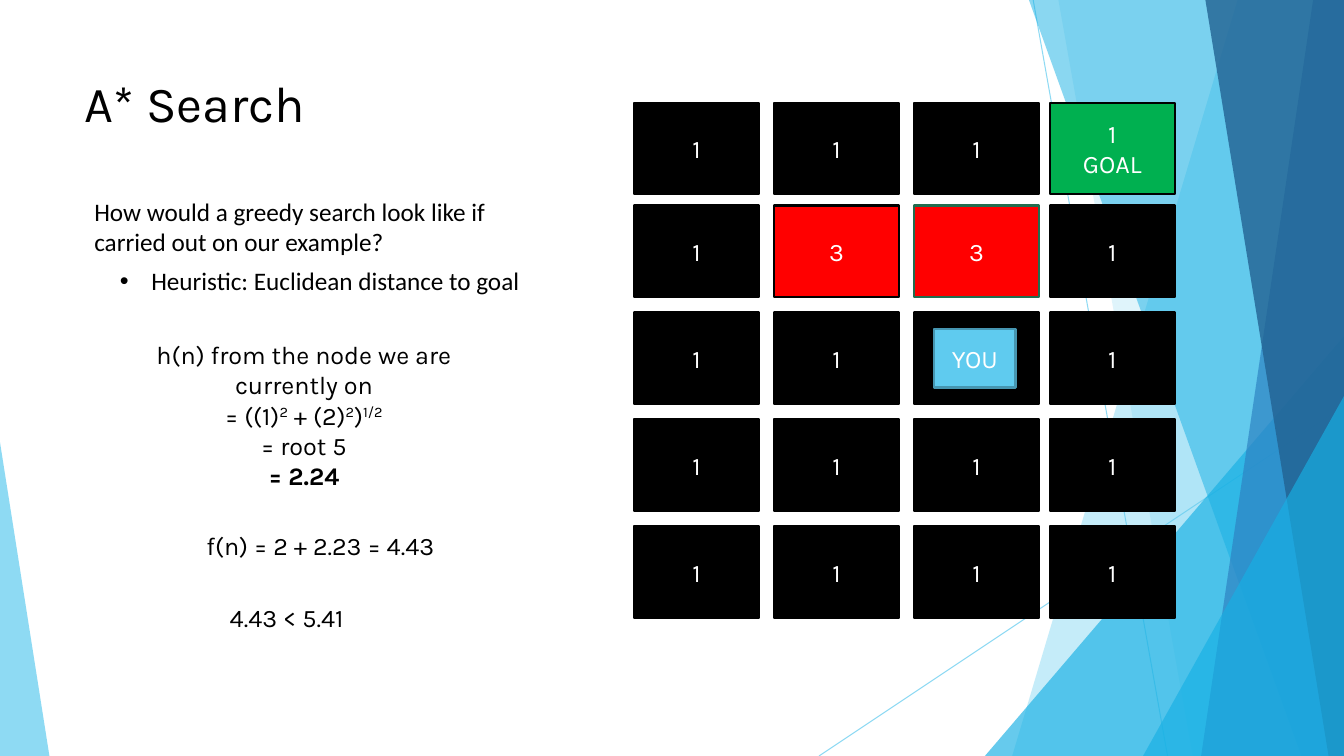
import dataclasses

import lxml.etree
import pptx
import pptx.dml.color
import pptx.enum.shapes
import pptx.enum.text
import pptx.oxml.ns
import pptx.util

Pt = pptx.util.Pt
Shape = pptx.enum.shapes.MSO_SHAPE
Align = pptx.enum.text.PP_ALIGN
Anchor = pptx.enum.text.MSO_ANCHOR
qn = pptx.oxml.ns.qn


def color(code):
    return pptx.dml.color.RGBColor.from_string(code)


@dataclasses.dataclass
class SlideBuilder:
    page: object
    font: str = "Karla"
    size: float = 18
    ink: str = "000000"
    light: str = "FFFFFF"
    sky: str = "5FCBEF"

    def fade(self, shape, opacity):
        for tint in shape._element.spPr.iter(qn("a:srgbClr")):
            lxml.etree.SubElement(tint, qn("a:alpha"), val=str(opacity * 1000))

    def paint(self, shape, fill, opacity):
        shape.shadow.inherit = False
        shape.fill.solid()
        shape.fill.fore_color.rgb = color(fill)
        shape.line.fill.background()
        self.fade(shape, opacity)

    def line(self, x1, y1, x2, y2):
        line = self.page.shapes.add_connector(
            pptx.enum.shapes.MSO_CONNECTOR.STRAIGHT, Pt(x1), Pt(y1), Pt(x2), Pt(y2))
        line.line.color.rgb = color(self.sky)
        line.line.width = Pt(0.75)
        lxml.etree.SubElement(line._element.spPr, qn("a:effectLst"))
        self.fade(line, 70)

    def polygon(self, points, fill, opacity):
        corners = [(Pt(x), Pt(y)) for x, y in points]
        outline = self.page.shapes.build_freeform(*corners[0])
        outline.add_line_segments(corners[1:], close=True)
        self.paint(outline.convert_to_shape(), fill, opacity)

    def triangle(self, left, top, width, height, apex, fill, opacity):
        shape = self.page.shapes.add_shape(
            Shape.ISOSCELES_TRIANGLE, Pt(left), Pt(top), Pt(width), Pt(height))
        shape.adjustments[0] = apex
        self.paint(shape, fill, opacity)

    def fill_text(self, frame, paragraphs, ink, align, font=None, size=None):
        frame.word_wrap = True
        for index, spans in enumerate(paragraphs):
            para = frame.paragraphs[0] if index == 0 else frame.add_paragraph()
            para.alignment = align
            for text, style in spans:
                span = para.add_run()
                span.text = text
                span.font.name = font or self.font
                span.font.size = Pt(size or self.size)
                span.font.color.rgb = color(ink)
                if style == "bold":
                    span.font.bold = True
                elif style == "super":
                    span.font._element.set("baseline", "30000")

    def tile(self, left, top, width, height, labels, fill, border):
        shape = self.page.shapes.add_shape(
            Shape.RECTANGLE, Pt(left), Pt(top), Pt(width), Pt(height))
        shape.shadow.inherit = False
        shape.fill.solid()
        shape.fill.fore_color.rgb = color(fill)
        shape.line.color.rgb = color(border)
        shape.line.width = Pt(1.5)
        shape.text_frame.vertical_anchor = Anchor.MIDDLE
        paragraphs = [[(label, None)] for label in labels]
        self.fill_text(shape.text_frame, paragraphs, self.light, Align.CENTER)

    def text(self, left, top, width, height, paragraphs, align=Align.LEFT,
             font=None, size=None, bullet=False):
        box = self.page.shapes.add_textbox(Pt(left), Pt(top), Pt(width), Pt(height))
        self.fill_text(box.text_frame, paragraphs, self.ink, align, font, size)
        if bullet:
            for para in box.text_frame.paragraphs:
                layout = para._p.get_or_add_pPr()
                layout.set("marL", str(Pt(22.5)))
                layout.set("indent", str(-Pt(22.5)))
                lxml.etree.SubElement(layout, qn("a:buFont"), typeface="Arial")
                lxml.etree.SubElement(layout, qn("a:buChar"), char="•")


def draw_backdrop(builder):
    builder.line(738, 0, 834, 540)
    builder.line(960, 290, 585, 540)
    bands = [(884, 723, "5FCBEF", 36), (756, 852, "5FCBEF", 20)]
    front_bands = [(735, 929.5, "17B0E4", 50), (938, 858, "2E83C3", 70),
                   (861, 949, "226292", 80)]

    def draw_bands(group):
        for top_x, bottom_x, fill, opacity in group:
            builder.polygon([(top_x, 0), (960, 0), (960, 540), (bottom_x, 540)],
                            fill, opacity)

    draw_bands(bands)
    builder.triangle(703.5, 240, 256.5, 300, 1, "17B0E4", 66)
    draw_bands(front_bands)
    builder.triangle(816.5, 283, 143.5, 257, 1, "17B0E4", 66)
    builder.triangle(0, 316, 35.3, 224, 0, builder.sky, 70)


def draw_grid(builder):
    columns = [452.8, 552.8, 652.8, 749.8]
    rows = [73.4, 146.8] + [223.2 + 76.4 * step for step in range(3)]
    special = {
        (0, 3): (["1", "GOAL"], "00B050", "000000"),
        (1, 1): (["3"], "FF0000", "000000"),
        (1, 2): (["3"], "FF0000", "226D4F"),
        (2, 2): ([], "000000", "000000"),
    }
    plain = (["1"], "000000", "000000")
    for row, top in enumerate(rows):
        for column, left in enumerate(columns):
            builder.tile(left, top, 89.5, 65.5, *special.get((row, column), plain))
    builder.tile(667.4, 235, 58, 41.8, ["YOU"], builder.sky, "4696B1")


def draw_texts(builder):
    builder.text(53.3, 48.2, 677, 104, [[("A* Search", None)]], size=36)
    question = "How would a greedy search look like if carried out on our example?"
    builder.text(60.3, 136.8, 314.6, 51, [[(question, None)]], font="Calibri")
    builder.text(78.5, 186, 314.6, 29, [[("Heuristic: Euclidean distance to goal", None)]],
                 font="Calibri", bullet=True)
    heuristic = [
        [("h(n) from the node we are currently on", None)],
        [("= ((1)", None), ("2", "super"), (" + (2)", None), ("2", "super"),
         (")", None), ("1/2", "super")],
        [("= root 5", None)],
        [("= 2.24", "bold")],
    ]
    builder.text(78.5, 239, 277.2, 116.6, heuristic, align=Align.CENTER)
    builder.text(140.4, 375.4, 208.8, 29, [[("f(n) = 2 + 2.23 = 4.43", None)]])
    builder.text(157, 427, 190.8, 29, [[("4.43 < 5.41", None)]])


def main():
    deck = pptx.Presentation()
    deck.slide_width, deck.slide_height = Pt(960), Pt(540)
    builder = SlideBuilder(deck.slides.add_slide(deck.slide_layouts[6]))
    draw_backdrop(builder)
    draw_grid(builder)
    draw_texts(builder)
    deck.save("out.pptx")


if __name__ == "__main__":
    main()
